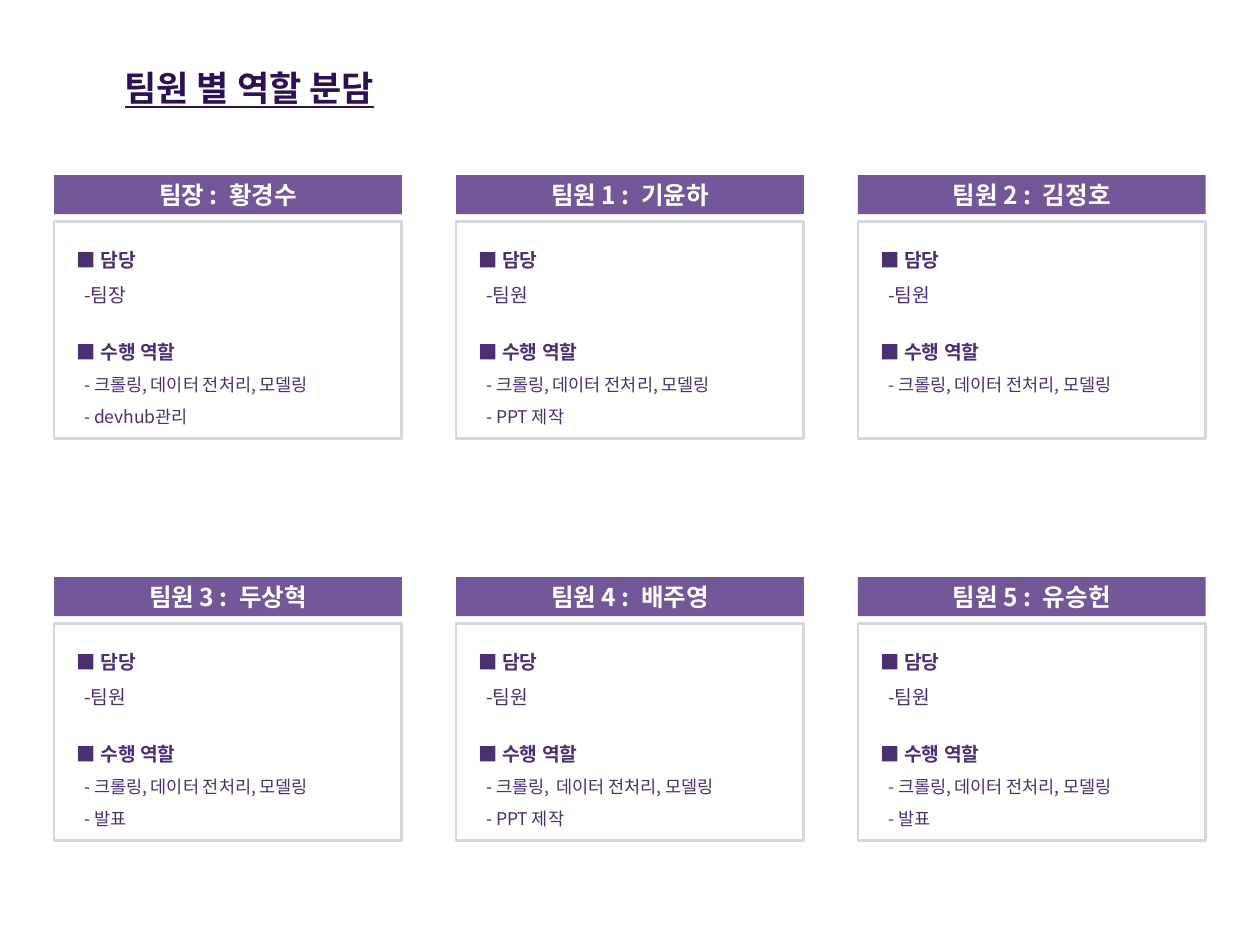
from dataclasses import dataclass

from lxml import etree
from pptx import Presentation
from pptx.dml.color import RGBColor
from pptx.enum.shapes import MSO_SHAPE
from pptx.enum.text import MSO_ANCHOR, MSO_AUTO_SIZE, PP_ALIGN
from pptx.oxml.ns import qn
from pptx.util import Inches, Pt

RECTANGLE = MSO_SHAPE.RECTANGLE
CENTER = PP_ALIGN.CENTER
MIDDLE = MSO_ANCHOR.MIDDLE
GROW = MSO_AUTO_SIZE.SHAPE_TO_FIT_TEXT

COLORS = {
    "title": "2D1152",
    "header": "735798",
    "header_text": "FFFFFF",
    "border": "D6D7DE",
    "body": "4B2F70",
}
TITLE_FONT = "Arial"
CARD_FONT = "Noto Sans CJK KR"

COLUMNS = 3
LEFT, TOP, PITCH = 0.43, 1.39, 3.19
CARD_WIDTH = 2.76
COMMON_TASK = "- 크롤링, 데이터 전처리, 모델링"


@dataclass
class Member:
    heading: str
    duty: str
    tasks: list[str]


MEMBERS = [
    Member("팀장 :  황경수", "-팀장", [COMMON_TASK, "- devhub관리"]),
    Member("팀원 1 :  기윤하", "-팀원", [COMMON_TASK, "- PPT 제작"]),
    Member("팀원 2 :  김정호", "-팀원", [COMMON_TASK]),
    Member("팀원 3 :  두상혁", "-팀원", [COMMON_TASK, "- 발표"]),
    Member("팀원 4 :  배주영", "-팀원", ["- 크롤링,  데이터 전처리, 모델링", "- PPT 제작"]),
    Member("팀원 5 :  유승헌", "-팀원", [COMMON_TASK, "- 발표"]),
]


def color(name: str) -> RGBColor:
    return RGBColor.from_string(COLORS[name])


def style_card_text(para, size: float, color_name: str, bold: bool) -> None:
    """Format every run, naming the font for Latin and Korean letters alike."""
    for span in para.runs:
        font = span.font
        font.size = Pt(size)
        font.bold = bold
        font.color.rgb = color(color_name)
        font.name = CARD_FONT
        east_asian = etree.SubElement(span._r.get_or_add_rPr(), qn("a:ea"))
        east_asian.set("typeface", CARD_FONT)


def add_title(page) -> None:
    box = page.shapes.add_textbox(Inches(0.89), Inches(0.48), Inches(2.46), Inches(0.44))
    frame = box.text_frame
    frame.word_wrap = False
    frame.auto_size = GROW
    frame.text = "팀원 별 역할 분담"
    font = frame.paragraphs[0].runs[0].font
    font.name = TITLE_FONT
    font.size = Pt(20)
    font.bold = True
    font.underline = True
    font.color.rgb = color("title")


def add_header(page, left: float, top: float, heading: str) -> None:
    header = page.shapes.add_shape(
        RECTANGLE, Inches(left), Inches(top), Inches(CARD_WIDTH), Inches(0.31))
    header.shadow.inherit = False
    header.fill.solid()
    header.fill.fore_color.rgb = color("header")
    header.line.fill.background()
    frame = header.text_frame
    frame.vertical_anchor = MIDDLE
    frame.text = heading
    para = frame.paragraphs[0]
    para.alignment = CENTER
    style_card_text(para, 14, "header_text", True)


def add_frame(page, left: float, top: float) -> None:
    outline = page.shapes.add_shape(
        RECTANGLE, Inches(left), Inches(top), Inches(CARD_WIDTH), Inches(1.72))
    outline.shadow.inherit = False
    outline.fill.background()
    outline.line.color.rgb = color("border")
    outline.line.width = Pt(1.5)


def add_details(page, left: float, top: float, member: Member) -> None:
    box = page.shapes.add_textbox(Inches(left), Inches(top), Inches(2.64), Inches(1.62))
    frame = box.text_frame
    frame.word_wrap = True
    frame.auto_size = GROW
    lines = ["■ 담당", member.duty, "■ 수행 역할", *member.tasks]
    frame.text = "\n".join(lines)
    for index, para in enumerate(frame.paragraphs):
        is_label = index in (0, 2)
        para.line_spacing = 1.5
        if index == 2:
            para.space_before = Pt(13)
        if not is_label:
            para._p.get_or_add_pPr().set("marL", str(Inches(0.06)))
        style_card_text(para, 10 if index > 2 else 11, "body", is_label)


def add_card(page, left: float, top: float, member: Member) -> None:
    add_header(page, left, top, member.heading)
    add_frame(page, left, top + 0.37)
    add_details(page, left + 0.08, top + 0.44, member)


def main() -> None:
    deck = Presentation()
    deck.slide_width = Inches(10)
    deck.slide_height = Inches(7.5)
    page = deck.slides.add_slide(deck.slide_layouts[6])
    add_title(page)
    for index, member in enumerate(MEMBERS):
        row, column = divmod(index, COLUMNS)
        add_card(page, LEFT + column * PITCH, TOP + row * PITCH, member)
    deck.save("out.pptx")


if __name__ == "__main__":
    main()
